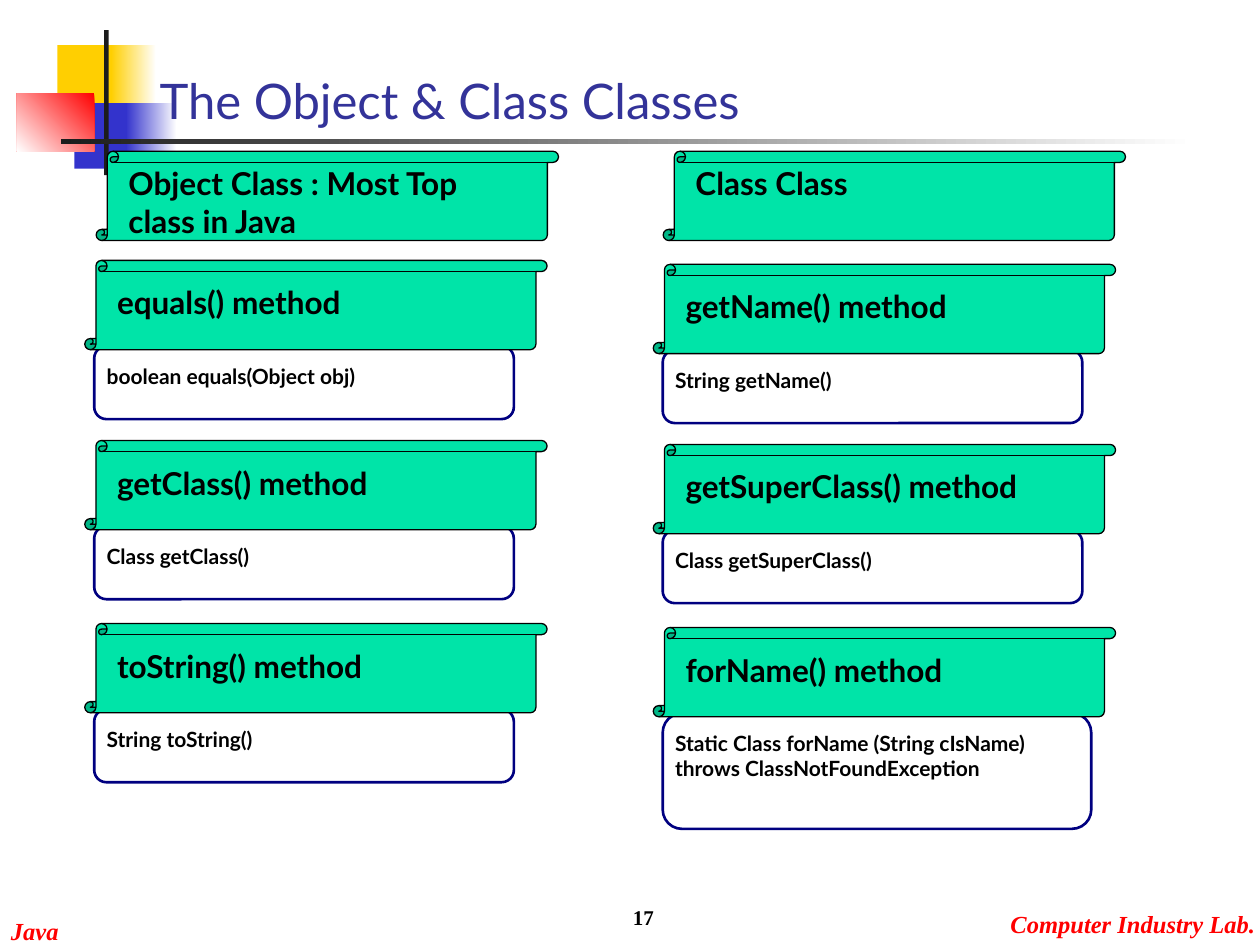
"""Build the slide on the Object and Class classes."""
from dataclasses import dataclass

from pptx import Presentation
from pptx.dml.color import RGBColor
from pptx.enum.shapes import MSO_SHAPE
from pptx.enum.text import MSO_ANCHOR, MSO_AUTO_SIZE, PP_ALIGN
from pptx.util import Cm, Pt

RECT = MSO_SHAPE.RECTANGLE
ROUND = MSO_SHAPE.ROUNDED_RECTANGLE
SCROLL = MSO_SHAPE.VERTICAL_SCROLL
TOP, BOTTOM = MSO_ANCHOR.TOP, MSO_ANCHOR.BOTTOM
GROW = MSO_AUTO_SIZE.SHAPE_TO_FIT_TEXT
LEFT, RIGHT = PP_ALIGN.LEFT, PP_ALIGN.RIGHT


@dataclass(frozen=True)
class Theme:
    sans: str = "Lato"
    serif: str = "Times New Roman"
    title: int = 28
    head: int = 18
    foot: int = 14
    note: int = 12
    blue: str = "3333CC"
    gold: str = "FFCF01"
    red: str = "FF0000"
    dark: str = "1C1C1C"
    white: str = "FFFFFF"
    black: str = "000000"
    navy: str = "000080"
    green: str = "00E4A8"
    ink: str = "333399"


@dataclass(frozen=True)
class Box:
    x: float
    y: float
    w: float
    h: float

    def place(self) -> tuple:
        return Cm(self.x), Cm(self.y), Cm(self.w), Cm(self.h)


@dataclass(frozen=True)
class Style:
    size: int
    color: str
    font: str
    bold: bool = True
    slant: bool = False


@dataclass(frozen=True)
class Block:
    box: Box
    start: str
    end: str = ""
    angle: int = 180


@dataclass(frozen=True)
class Method:
    name: str
    usage: str
    wide: float = 8.46
    high: float = 1.47


@dataclass(frozen=True)
class Column:
    x: float
    shift: float
    lead: Box
    head: str
    items: tuple


THEME = Theme()
TITLE = Style(THEME.title, THEME.ink, THEME.sans, bold=False)
HEAD = Style(THEME.head, THEME.black, THEME.sans)
NOTE = Style(THEME.note, THEME.black, THEME.sans)
FOOT = Style(THEME.foot, THEME.red, THEME.serif, slant=True)
PAGE = Style(THEME.note, THEME.black, THEME.serif)

BLOCKS = (
    Block(Box(1.16, 0.91, 1.22, 1.32), THEME.gold),
    Block(Box(2.24, 0.91, 0.91, 1.32), THEME.white, THEME.gold),
    Block(Box(1.5, 2.08, 1.17, 1.32), THEME.blue),
    Block(Box(2.54, 2.08, 1.02, 1.32), THEME.white, THEME.blue),
    Block(Box(0.34, 1.88, 1.56, 1.17), THEME.red, THEME.white, 225),
    Block(Box(2.1, 0.61, 0.09, 2.92), THEME.dark),
    Block(Box(1.23, 2.81, 22.86, 0.09), THEME.white, THEME.dark),
)
ROWS = (5.25, 8.88, 12.57)
COLUMNS = (
    Column(1.71, 0, Box(1.94, 3.05, 9.32, 1.8),
           "Object Class : Most Top class in Java", (
               Method("equals() method", "boolean equals(Object obj)"),
               Method("getClass() method", "Class getClass()"),
               Method("toString() method", "String toString()"))),
    Column(13.17, 0.08, Box(13.37, 3.05, 9.32, 1.8), "Class Class", (
        Method("getName() method", "String getName()"),
        Method("getSuperClass() method", "Class getSuperClass()"),
        Method("forName() method",
               "Static Class forName (String cIsName) "
               "throws ClassNotFoundException", 8.64, 2.33))),
)


def rgb(code: str) -> RGBColor:
    return RGBColor.from_string(code)


def write(slide, box: Box, text: str, style: Style, anchor=TOP,
          align=LEFT, wrap: bool = True) -> None:
    frame = slide.shapes.add_textbox(*box.place()).text_frame
    frame.word_wrap = wrap
    frame.vertical_anchor = anchor
    if anchor == TOP:
        frame.auto_size = GROW
    para = frame.paragraphs[0]
    para.text = text
    para.alignment = align
    font = para.font
    font.name, font.size = style.font, Pt(style.size)
    font.bold, font.italic = style.bold, style.slant
    font.color.rgb = rgb(style.color)


def shape(slide, kind, box: Box):
    item = slide.shapes.add_shape(kind, *box.place())
    item.shadow.inherit = False
    return item


def block(slide, part: Block) -> None:
    item = shape(slide, RECT, part.box)
    item.line.fill.background()
    if not part.end:
        item.fill.solid()
        item.fill.fore_color.rgb = rgb(part.start)
        return
    item.fill.gradient()
    item.fill.gradient_angle = part.angle
    for stop, code in zip(item.fill.gradient_stops, (part.start, part.end)):
        stop.color.rgb = rgb(code)


def banner(slide, box: Box, text: str, drop: float) -> None:
    item = shape(slide, SCROLL, box)
    item.fill.solid()
    item.fill.fore_color.rgb = rgb(THEME.green)
    item.line.color.rgb = rgb(THEME.black)
    item.line.width = Pt(0.75)
    write(slide, Box(box.x + 0.4, box.y + drop, 8.28, 1.02), text, HEAD)


def method(slide, x: float, y: float, item: Method) -> None:
    body = Box(x + 0.19, y + 1.73, item.wide, item.high)
    frame = shape(slide, ROUND, body)
    frame.fill.background()
    frame.line.color.rgb = rgb(THEME.navy)
    frame.line.width = Pt(1.5)
    write(slide, Box(body.x, body.y + 0.22, 8.48, 0.76), item.usage, NOTE)
    banner(slide, Box(x, y, 9.32, 1.8), item.name, 0.34)


def main() -> None:
    deck = Presentation()
    deck.slide_width, deck.slide_height = Cm(25.4), Cm(19.05)
    slide = deck.slides.add_slide(deck.slide_layouts[6])
    for part in BLOCKS:
        block(slide, part)
    write(slide, Box(-0.03, 18.34, 1.47, 0.86), "Java", FOOT, wrap=False)
    write(slide, Box(20.12, 18.21, 5.44, 0.86), "Computer Industry Lab.",
          FOOT, wrap=False)
    write(slide, Box(2.97, 1.27, 12.9, 1.47), "The Object & Class Classes",
          TITLE, BOTTOM)
    for col in COLUMNS:
        for y, item in zip(ROWS, col.items):
            method(slide, col.x, y + col.shift, item)
        banner(slide, col.lead, col.head, 0.13)
    write(slide, Box(8.15, 17.6, 5.28, 1.27), "17", PAGE, BOTTOM, RIGHT)
    deck.save("out.pptx")


if __name__ == "__main__":
    main()
